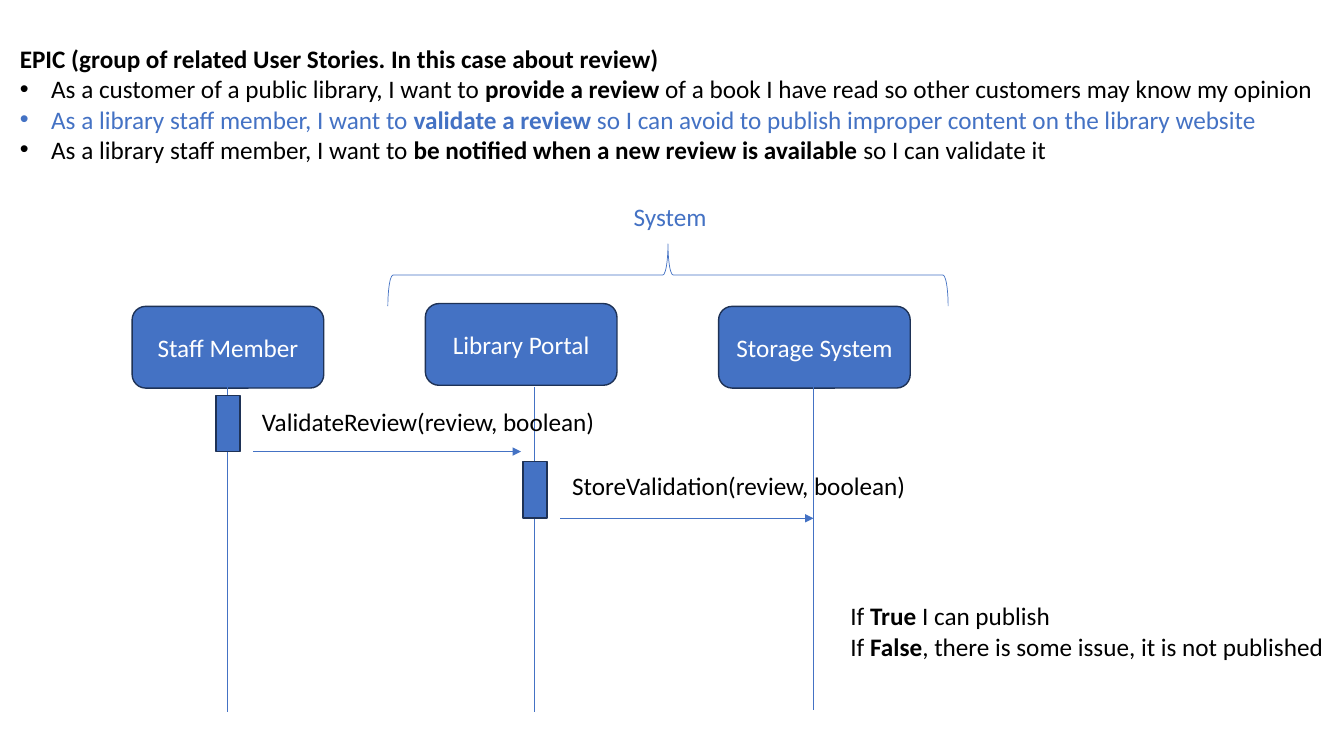
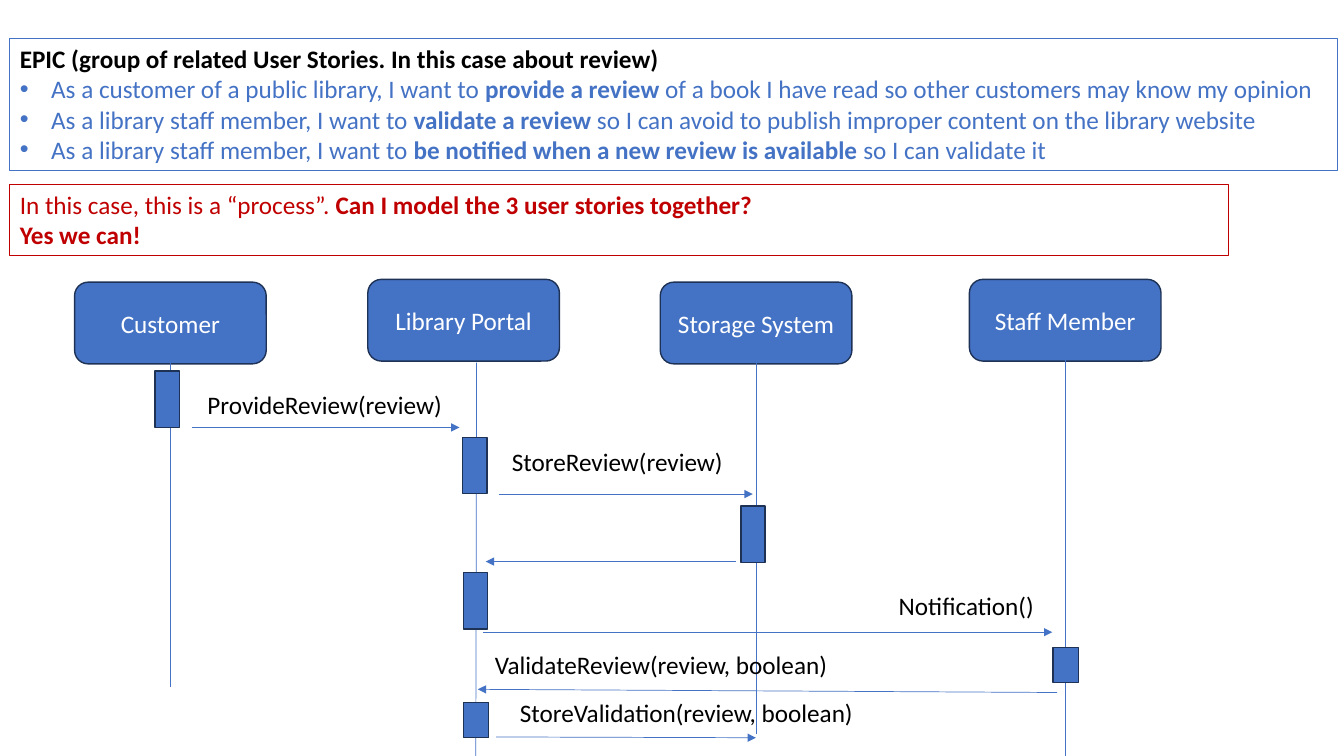
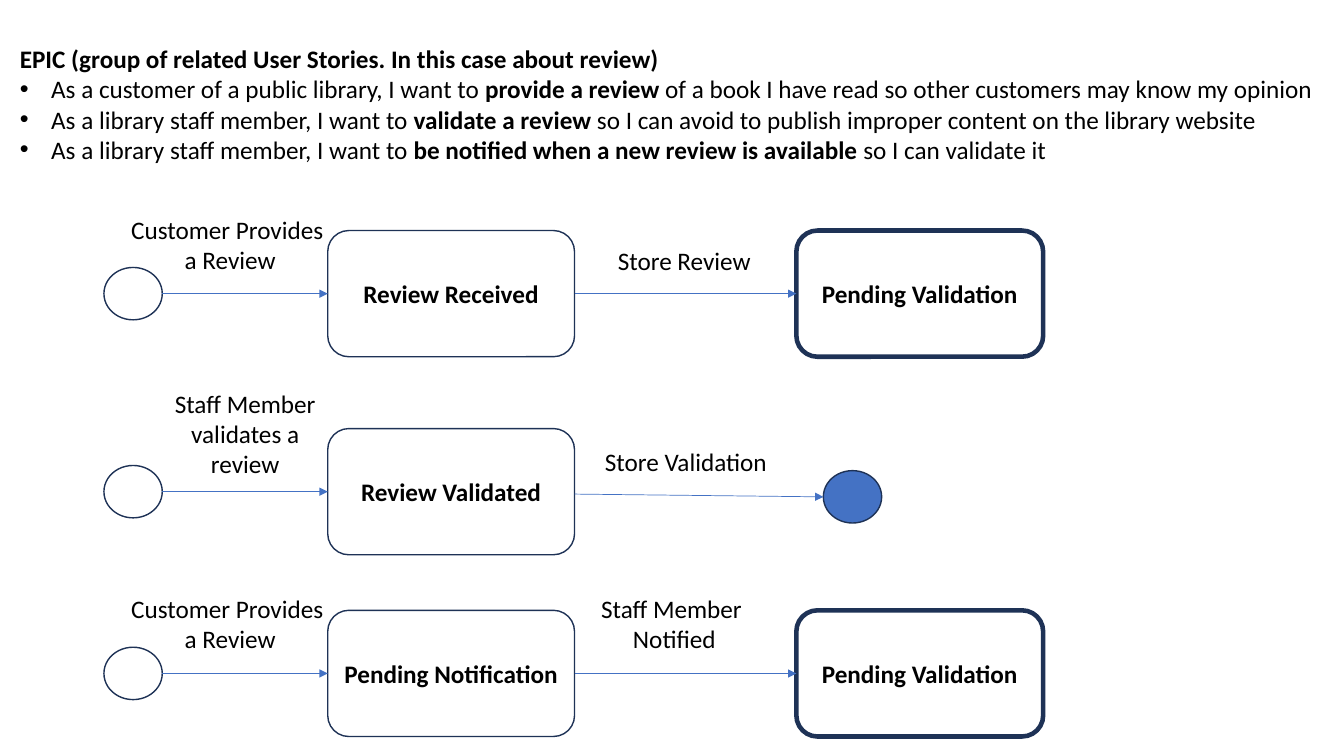
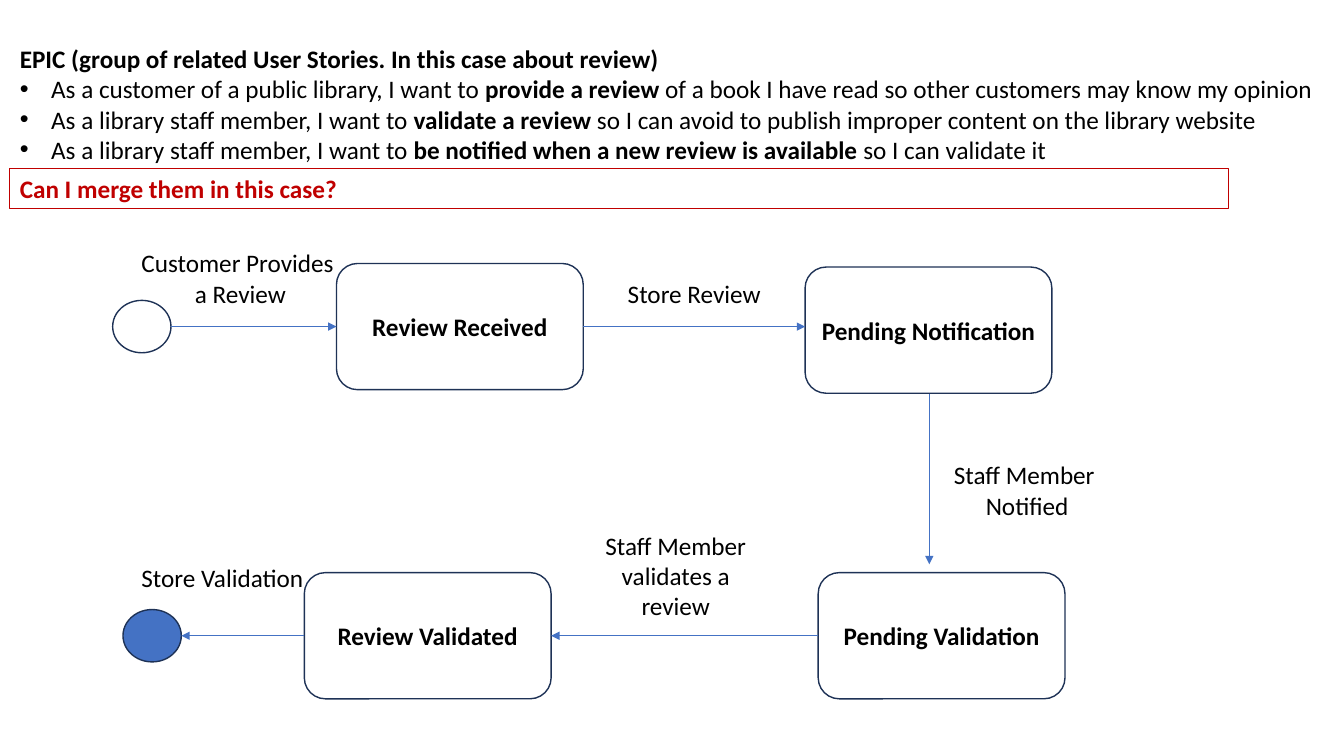
"""Build four slides that model the review epic as sequence and state diagrams."""
import dataclasses

import lxml.etree
import pptx
import pptx.dml.color
import pptx.enum.shapes
import pptx.enum.text
import pptx.oxml.ns
import pptx.util

Cm = pptx.util.Cm
Pt = pptx.util.Pt
SHAPE = pptx.enum.shapes.MSO_SHAPE
ALIGN = pptx.enum.text.PP_ALIGN
qn = pptx.oxml.ns.qn


@dataclasses.dataclass(frozen=True)
class Theme:
    font: str = "Calibri"
    size: float = 18
    black: str = "000000"
    white: str = "FFFFFF"
    blue: str = "4472C4"
    navy: str = "1E3256"
    red: str = "C00000"
    hairline: float = 0.5
    frame: float = 0.75
    outline: float = 1
    heavy: float = 3.25


THEME = Theme()
SLIDE_SIZE = (33.87, 19.05)
EPIC_BOX = (0.25, 0.97, 33.45)
QUESTION_LEFT, QUESTION_WIDTH = 0.25, 30.71
PARTICIPANT = (4.83, 2.06)
STATE = (6.22, 3.18)
DOT = (1.47, 1.32)
BULLET_INDENT = 0.79
TALL, SHORT = (0.61, 1.42), (0.64, 0.89)

EPIC_TITLE = "EPIC (group of related User Stories. In this case about review)"
STORIES = [
    ("As a customer of a public library, I want to ", "provide a review ",
     "of a book I have read so other customers may know my opinion"),
    ("As a library staff member, I want to ", "validate a review ",
     "so I can avoid to publish improper content on the library website"),
    ("As a library staff member, I want to ", "be notified when a new review is available ",
     "so I can validate it"),
]

PROVIDES = ["Customer Provides ", "a Review"]
NOTIFIED = ["Staff Member ", "Notified"]
VALIDATES = "Staff Member validates a review"

SLIDES = [
    {
        "highlighted": {1},
        "participants": [
            ("Staff Member", 3.33, 7.72), ("Library Portal", 10.72, 7.65),
            ("Storage System", 18.11, 7.72),
        ],
        "lifelines": [(5.74, 9.75, 5.74, 17.93), (13.46, 9.75, 13.46, 17.93),
                      (20.5, 9.7, 20.5, 17.88)],
        "activations": [(5.44, 9.96, TALL), (13.18, 11.63, TALL)],
        "messages": [(6.38, 11.38, 13.13, 11.38), (14.12, 13.06, 20.5, 13.06)],
        "labels": [("ValidateReview(review, boolean)", 6.35, 10.11, 8.99),
                   ("StoreValidation(review, boolean)", 14.17, 11.73, 9.02)],
        "system": {"brace": (16.05, -0.13, 1.57, 14.12), "label": (15.72, 4.95, 2.36)},
        "outcomes": {
            "box": (21.18, 15.01, 12.57),
            "lines": [
                [("If ", False), ("True", True), (" I can publish", False)],
                [("If ", False), ("False", True),
                 (", there is some issue, it is not published", False)],
            ],
        },
    },
    {
        "highlighted": {0, 1, 2},
        "framed": True,
        "question": (4.65, [
            [("In this case, this is a “process”. ", False),
             ("Can I model the 3 user stories together?", True)],
            [("Yes we can!", True)],
        ]),
        "participants": [
            ("Customer", 1.88, 7.11), ("Library Portal", 9.27, 7.04),
            ("Storage System", 16.64, 7.11), ("Staff Member", 24.43, 7.04),
        ],
        "lifelines": [(4.29, 9.14, 4.29, 17.32), (12.01, 9.14, 11.99, 19.05),
                      (19.05, 9.09, 19.05, 18.49), (26.85, 9.02, 26.85, 19.05)],
        "activations": [
            (3.91, 9.35, TALL), (11.66, 11.02, TALL), (18.67, 12.75, TALL),
            (11.68, 14.43, TALL), (26.54, 16.31, SHORT), (11.68, 17.7, SHORT),
        ],
        "messages": [
            (4.83, 10.77, 11.58, 10.77), (12.57, 12.45, 18.97, 12.45),
            (18.54, 14.15, 12.24, 14.15), (12.17, 15.93, 26.52, 15.93),
            (26.64, 17.45, 12.04, 17.37), (12.5, 18.57, 19.05, 18.59),
        ],
        "labels": [
            ("ProvideReview(review)", 4.98, 9.68, 6.48),
            ("StoreReview(review)", 12.65, 11.13, 5.89),
            ("Notification()", 22.4, 14.76, 3.96),
            ("ValidateReview(review, boolean)", 12.22, 16.23, 8.99),
            ("StoreValidation(review, boolean)", 12.85, 17.45, 9.02),
        ],
    },
    {
        "states": {
            "received": ("Review Received", 8.26, 7.4, THEME.outline),
            "stored": ("Pending Validation", 20.07, 7.4, THEME.heavy),
            "validated": ("Review Validated", 8.26, 12.39, THEME.outline),
            "notifying": ("Pending Notification", 8.26, 16.97, THEME.outline),
            "notified": ("Pending Validation", 20.07, 16.97, THEME.heavy),
        },
        "dots": {
            "provide": (2.62, 7.4, THEME.white), "validate": (2.62, 12.39, THEME.white),
            "done": (20.75, 12.52, THEME.blue), "notify": (2.62, 16.97, THEME.white),
        },
        "flows": [
            ("provide", "received", 0, 0), ("received", "stored", 0, 0),
            ("validate", "validated", 0, 0), ("validated", "done", 0.06, 0),
            ("notify", "notifying", 0, 0), ("notifying", "notified", 0, 0),
        ],
        "captions": [
            (PROVIDES, 3.02, 5.28, 5.56), (["Store Review"], 15.29, 6.05, 3.91),
            (VALIDATES, 3.78, 9.65, 4.8), (["Store Validation"], 14.96, 11.13, 4.65),
            (PROVIDES, 3.02, 14.83, 5.56), (NOTIFIED, 14.86, 14.83, 4.27),
        ],
    },
    {
        "question": (4.24, [[("Can I merge them in this case?", True)]]),
        "states": {
            "received": ("Review Received", 8.48, 8.23, THEME.outline),
            "notifying": ("Pending Notification", 20.29, 8.32, THEME.outline),
            "pending": ("Pending Validation", 20.62, 16.02, THEME.outline),
            "validated": ("Review Validated", 7.67, 16.02, THEME.outline),
        },
        "dots": {"provide": (2.84, 8.23, THEME.white), "done": (3.1, 16.02, THEME.blue)},
        "flows": [
            ("provide", "received", 0, 0), ("received", "notifying", 0, -0.09),
            ("pending", "validated", 0, 0), ("validated", "done", 0, 0),
        ],
        "messages": [(23.42, 9.91, 23.42, 14.22)],
        "captions": [
            (PROVIDES, 3.28, 6.12, 5.56), (["Store Review"], 15.54, 6.88, 3.91),
            (NOTIFIED, 23.75, 11.46, 4.27), (VALIDATES, 14.63, 13.23, 4.8),
            (["Store Validation"], 3.28, 14.05, 4.65),
        ],
    },
]


def rgb(color):
    return pptx.dml.color.RGBColor.from_string(color)


def set_line(line, color, width):
    line.color.rgb = rgb(color)
    line.width = Pt(width)


def add_run(paragraph, text, color, bold=False):
    run = paragraph.add_run()
    run.text = text
    run.font.name = THEME.font
    run.font.size = Pt(THEME.size)
    run.font.bold = bold
    run.font.color.rgb = rgb(color)


def add_bullet(paragraph):
    properties = paragraph._p.get_or_add_pPr()
    properties.set("marL", str(Cm(BULLET_INDENT)))
    properties.set("indent", str(-Cm(BULLET_INDENT)))
    lxml.etree.SubElement(properties, qn("a:buFont")).set("typeface", "Arial")
    lxml.etree.SubElement(properties, qn("a:buChar")).set("char", "•")


def add_text(slide, lines, left, top, width, color=THEME.black, align=ALIGN.LEFT,
             wrap=False, rows=None):
    """Add a text box; each line is a list of (text, bold) runs."""
    height = 0.25 + 0.77 * (rows or len(lines))
    box = slide.shapes.add_textbox(Cm(left), Cm(top), Cm(width), Cm(height))
    frame = box.text_frame
    frame.word_wrap = wrap
    frame.auto_size = pptx.enum.text.MSO_AUTO_SIZE.SHAPE_TO_FIT_TEXT
    for index, runs in enumerate(lines):
        paragraph = frame.add_paragraph() if index else frame.paragraphs[0]
        paragraph.alignment = align
        for text, bold in runs:
            add_run(paragraph, text, color, bold)
    return box


def add_block(slide, kind, left, top, size, fill=None, line=THEME.navy,
              weight=THEME.outline, text="", color=THEME.white, bold=False):
    """Add a preset shape with an optional centred label."""
    block = slide.shapes.add_shape(kind, Cm(left), Cm(top), Cm(size[0]), Cm(size[1]))
    block.shadow.inherit = False
    if fill:
        block.fill.solid()
        block.fill.fore_color.rgb = rgb(fill)
    else:
        block.fill.background()
    set_line(block.line, line, weight)
    if text:
        block.text_frame.word_wrap = True
        block.text_frame.vertical_anchor = pptx.enum.text.MSO_ANCHOR.MIDDLE
        label = block.text_frame.paragraphs[0]
        label.alignment = ALIGN.CENTER
        add_run(label, text, color, bold)
    return block


def add_line(slide, ends, arrow=False):
    connector = slide.shapes.add_connector(
        pptx.enum.shapes.MSO_CONNECTOR.STRAIGHT, *map(Cm, ends))
    set_line(connector.line, THEME.blue, THEME.hairline)
    if arrow:
        outline = connector.line._get_or_add_ln()
        lxml.etree.SubElement(outline, qn("a:tailEnd")).set("type", "triangle")
    lxml.etree.SubElement(connector._element.spPr, qn("a:effectLst"))


def add_epic(slide, highlighted, framed):
    epic = add_text(slide, [[(EPIC_TITLE, True)]], *EPIC_BOX, rows=1 + len(STORIES))
    for index, (wish, goal, reason) in enumerate(STORIES):
        color = THEME.blue if index in highlighted else THEME.black
        story = epic.text_frame.add_paragraph()
        add_bullet(story)
        for text, bold in ((wish, False), (goal, True), (reason, False)):
            add_run(story, text, color, bold)
    if framed:
        set_line(epic.line, THEME.blue, THEME.frame)


def add_question(slide, top, lines):
    question = add_text(slide, lines, QUESTION_LEFT, top, QUESTION_WIDTH, THEME.red, wrap=True)
    set_line(question.line, THEME.red, THEME.frame)


def add_system(slide, brace, label):
    bracket = add_block(slide, SHAPE.RIGHT_BRACE, *brace[:2], brace[2:],
                        line=THEME.blue, weight=THEME.hairline)
    bracket.rotation = 270
    add_text(slide, [[("System", False)]], *label, color=THEME.blue)


def add_sequence(slide, content):
    for name, left, top in content.get("participants", []):
        add_block(slide, SHAPE.ROUNDED_RECTANGLE, left, top, PARTICIPANT, THEME.blue, text=name)
    for ends in content.get("lifelines", []):
        add_line(slide, ends)
    for left, top, size in content.get("activations", []):
        add_block(slide, SHAPE.RECTANGLE, left, top, size, THEME.blue)
    for ends in content.get("messages", []):
        add_line(slide, ends, arrow=True)
    for text, left, top, width in content.get("labels", []):
        add_text(slide, [[(text, False)]], left, top, width)


def add_state_flow(slide, content):
    nodes = {}
    for key, (text, left, middle, weight) in content.get("states", {}).items():
        nodes[key] = (left, left + STATE[0], middle)
        add_block(slide, SHAPE.ROUNDED_RECTANGLE, left, middle - STATE[1] / 2, STATE,
                  weight=weight, text=text, color=THEME.black, bold=True)
    for key, (left, middle, fill) in content.get("dots", {}).items():
        nodes[key] = (left, left + DOT[0], middle)
        add_block(slide, SHAPE.OVAL, left, middle - DOT[1] / 2, DOT, fill)
    for source, target, start_drop, end_drop in content.get("flows", []):
        source_left, source_right, source_middle = nodes[source]
        target_left, target_right, target_middle = nodes[target]
        forward = source_left < target_left
        add_line(slide, (source_right if forward else source_left, source_middle + start_drop,
                         target_left if forward else target_right, target_middle + end_drop),
                 arrow=True)
    for caption, left, top, width in content.get("captions", []):
        wrap = isinstance(caption, str)
        lines = [caption] if wrap else caption
        add_text(slide, [[(line, False)] for line in lines], left, top, width,
                 align=ALIGN.CENTER, wrap=wrap, rows=3 if wrap else None)


def main():
    deck = pptx.Presentation()
    deck.slide_width, deck.slide_height = map(Cm, SLIDE_SIZE)
    for content in SLIDES:
        slide = deck.slides.add_slide(deck.slide_layouts[6])
        add_epic(slide, content.get("highlighted", ()), content.get("framed", False))
        if "question" in content:
            add_question(slide, *content["question"])
        if "system" in content:
            add_system(slide, **content["system"])
        add_sequence(slide, content)
        add_state_flow(slide, content)
        if "outcomes" in content:
            add_text(slide, content["outcomes"]["lines"], *content["outcomes"]["box"])
    deck.save("out.pptx")


if __name__ == "__main__":
    main()
